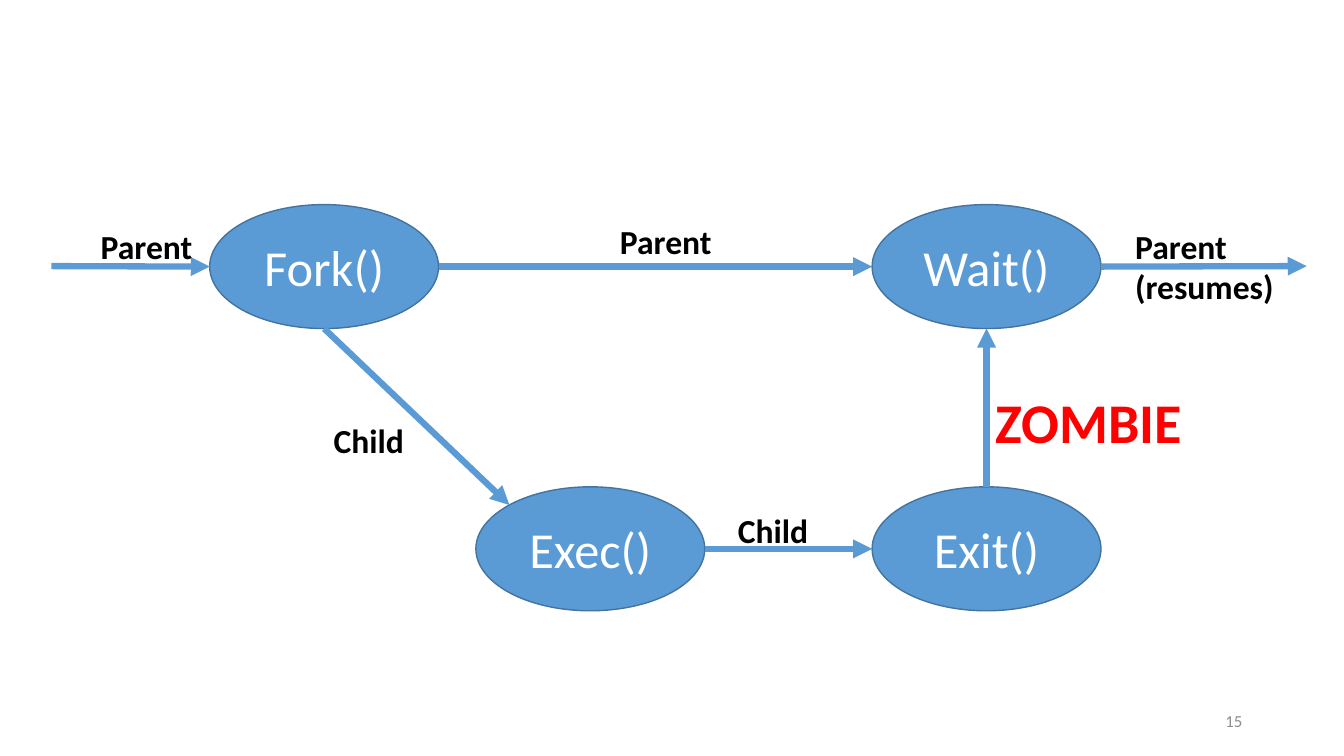
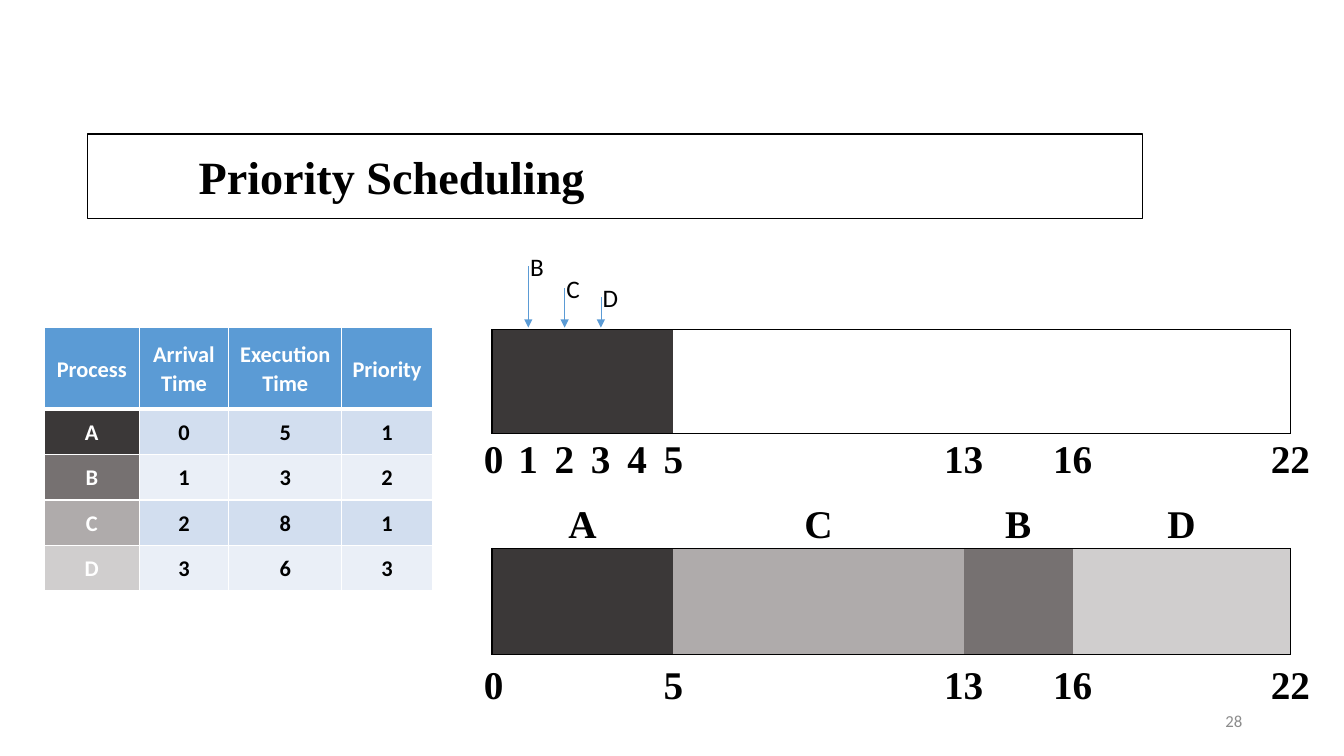
import math

import lxml.etree
import pptx
import pptx.dml.color
import pptx.enum.shapes
import pptx.enum.text
import pptx.oxml
import pptx.oxml.ns
import pptx.util

RGB = pptx.dml.color.RGBColor
SHAPE = pptx.enum.shapes.MSO_SHAPE
ALIGN = pptx.enum.text.PP_ALIGN
ANCHOR = pptx.enum.text.MSO_ANCHOR
qn = pptx.oxml.ns.qn

# Shared look
BLUE = RGB(0x5B, 0x9B, 0xD5)
DARK_BLUE = RGB(0x43, 0x73, 0x9E)
BLACK = RGB(0, 0, 0)
WHITE = RGB(0xFF, 0xFF, 0xFF)
RED = RGB(0xFF, 0, 0)
NUMBER_GRAY = RGB(0x8C, 0x8C, 0x8C)
ROW_BANDS = (RGB(0xD2, 0xDE, 0xEF), RGB(0xEA, 0xEF, 0xF7))
PROCESS_COLORS = {
    "A": RGB(0x3B, 0x38, 0x38),
    "B": RGB(0x76, 0x71, 0x71),
    "C": RGB(0xAF, 0xAB, 0xAB),
    "D": RGB(0xD0, 0xCE, 0xCE),
}
SANS, SERIF = "Calibri", "Times New Roman"
NO_TABLE_STYLE = "{2D5ABB26-0587-4C30-8999-92F81FD0307C}"

# Process diagram: sites of an ellipse run counterclockwise from the top
STATE_W, STATE_H = 227, 123
TOP, TOP_LEFT, LEFT, BOTTOM, RIGHT = 0, 1, 2, 4, 6

# Timeline grid
TIMELINE_LEFT, TIME_UNIT, TOTAL_TIME = 488, 36, 22
SCALE_LEFT, SCALE_W, INSET = 470, 854, 10


def px(length):
    """Convert a length at 100 px to the inch into EMU."""
    return pptx.util.Emu(round(length * 9144))


def tick(time):
    return TIMELINE_LEFT + time * TIME_UNIT


def format_text(frame, size, color, font=SANS, bold=False, align=ALIGN.LEFT):
    for paragraph in frame.paragraphs:
        paragraph.alignment = align
        for run in paragraph.runs:
            run.font.name = font
            run.font.size = pptx.util.Pt(size)
            run.font.bold = bold
            run.font.color.rgb = color


def add_label(slide, text, box, size, color=BLACK, **style):
    label = slide.shapes.add_textbox(*map(px, box))
    label.text_frame.word_wrap = True
    label.text_frame.text = text
    format_text(label.text_frame, size, color, **style)
    return label


def add_slide_number(slide, number):
    label = add_label(slide, str(number), (942, 695, 300, 40), 12,
                      NUMBER_GRAY, align=ALIGN.RIGHT)
    label.text_frame.vertical_anchor = ANCHOR.MIDDLE


def add_arrow(slide, start, end, width):
    arrow = slide.shapes.add_connector(
        pptx.enum.shapes.MSO_CONNECTOR.STRAIGHT, *map(px, (*start, *end)))
    arrow.line.color.rgb = BLUE
    arrow.line.width = pptx.util.Pt(width)
    line = arrow.line._get_or_add_ln()
    lxml.etree.SubElement(line, qn("a:tailEnd"), type="triangle")
    lxml.etree.SubElement(arrow._element.spPr, qn("a:effectLst"))
    return arrow


# Process diagram parts
def add_state(slide, text, left, top):
    state = slide.shapes.add_shape(
        SHAPE.OVAL, *map(px, (left, top, STATE_W, STATE_H)))
    state.shadow.inherit = False
    state.fill.solid()
    state.fill.fore_color.rgb = BLUE
    state.line.color.rgb = DARK_BLUE
    state.line.width = pptx.util.Pt(1)
    state.text_frame.vertical_anchor = ANCHOR.MIDDLE
    state.text_frame.text = text
    format_text(state.text_frame, 36, WHITE, align=ALIGN.CENTER)
    return state


def site_point(state, site):
    angle = math.radians(90 + 45 * site)
    x = state.left / px(1) + STATE_W / 2 * (1 + math.cos(angle))
    y = state.top / px(1) + STATE_H / 2 * (1 - math.sin(angle))
    return x, y


def add_transition(slide, start, end):
    """Each end is a free point or a (state, site) pair to be glued to."""
    ends = (start, end)
    glued = [not isinstance(target, (int, float)) for target, _ in ends]
    points = [site_point(*target) if held else target
              for target, held in zip(ends, glued)]
    arrow = add_arrow(slide, *points, 4.5)
    links = arrow._element.find(".//" + qn("p:cNvCxnSpPr"))
    for tag, target, held in zip(("a:stCxn", "a:endCxn"), ends, glued):
        if held:
            state, site = target
            lxml.etree.SubElement(links, qn(tag), id=str(state.shape_id),
                                  idx=str(site))


def build_process_slide(prs):
    slide = prs.slides.add_slide(prs.slide_layouts[6])
    fork = add_state(slide, "Fork()", 208, 203)
    execute = add_state(slide, "Exec()", 472, 483)
    leave = add_state(slide, "Exit()", 865, 483)
    wait = add_state(slide, "Wait()", 865, 203)

    for start, end in (
        ((51, 264), (fork, LEFT)),
        ((fork, RIGHT), (wait, LEFT)),
        ((wait, RIGHT), (1296, 264)),
        ((execute, RIGHT), (leave, LEFT)),
        ((leave, TOP), (wait, BOTTOM)),
        ((fork, BOTTOM), (execute, TOP_LEFT)),
    ):
        add_transition(slide, start, end)

    for text, left, top in (
        ("Child", 321, 412),
        ("Parent", 605, 214),
        ("Parent", 90, 219),
        ("Child", 722, 501),
    ):
        add_label(slide, text, (left, top, 112, 50), 24, bold=True)
    add_label(slide, "Parent\n(resumes)", (1116, 219, 169, 91), 24, bold=True)
    add_label(slide, "ZOMBIE", (978, 380, 238, 77), 40, RED, bold=True)
    add_slide_number(slide, 15)


# Scheduling parts
def add_banner_title(slide, text):
    title = slide.shapes.title
    title.left, title.top, title.width, title.height = map(
        px, (87, 133, 1046, 84))
    outline = lxml.etree.SubElement(
        title._element.spPr, qn("a:prstGeom"), prst="homePlate")
    lxml.etree.SubElement(outline, qn("a:avLst"))
    title.fill.solid()
    title.fill.fore_color.rgb = WHITE
    title.line.color.rgb = BLACK
    title.line.width = pptx.util.Pt(1)
    frame = title.text_frame
    frame.auto_size = pptx.enum.text.MSO_AUTO_SIZE.NONE
    frame.vertical_anchor = ANCHOR.MIDDLE
    frame.margin_left = px(110)
    frame.text = text
    format_text(frame, 33, BLACK, SERIF, bold=True)


def add_plain_table(slide, left, top, widths, heights):
    frame = slide.shapes.add_table(
        len(heights), len(widths),
        *map(px, (left, top, sum(widths), sum(heights))))
    table = frame.table
    table.horz_banding = False
    table._tbl.tblPr.find(qn("a:tableStyleId")).text = NO_TABLE_STYLE
    for column, width in zip(table.columns, widths):
        column.width = px(width)
    for row, height in zip(table.rows, heights):
        row.height = px(height)
    return table


def set_borders(cell, color, widths):
    """Widths in points by side: L, R, T, B."""
    properties = cell._tc.get_or_add_tcPr()
    sides = [side for side in "LRTB" if side in widths]
    for position, side in enumerate(sides):
        properties.insert(position, pptx.oxml.parse_xml(
            f'<a:ln{side} {pptx.oxml.ns.nsdecls("a")} '
            f'w="{pptx.util.Pt(widths[side])}"><a:solidFill>'
            f'<a:srgbClr val="{color}"/></a:solidFill></a:ln{side}>'))


def fill_cell(cell, color):
    cell.fill.solid()
    cell.fill.fore_color.rgb = color


def add_process_table(slide, rows):
    table = add_plain_table(slide, 44, 325, (94, 89, 112, 90),
                            (81, 45, 45, 45, 45))
    for r, row in enumerate(rows):
        for c, text in enumerate(row):
            cell = table.cell(r, c)
            if r == 0:
                fill, color = BLUE, WHITE
            elif c == 0:
                fill, color = PROCESS_COLORS[text], WHITE
            else:
                fill, color = ROW_BANDS[(r - 1) % 2], BLACK
            fill_cell(cell, fill)
            set_borders(cell, WHITE, {"L": 1, "R": 1,
                                      "T": 3 if r == 1 else 1,
                                      "B": 3 if r == 0 else 1})
            cell.vertical_anchor = ANCHOR.MIDDLE
            cell.margin_left = cell.margin_right = px(7)
            cell.margin_top = cell.margin_bottom = 0
            cell.text_frame.text = text
            format_text(cell.text_frame, 16, color, bold=True,
                        align=ALIGN.CENTER)
            cell.text_frame.paragraphs[0].line_spacing = 1.07


def add_timeline(slide, top, height, spans):
    """Draw one cell per time unit, coloured by the running process."""
    table = add_plain_table(slide, TIMELINE_LEFT, top,
                            [TIME_UNIT] * TOTAL_TIME, [height])
    for time in range(TOTAL_TIME):
        cell = table.cell(0, time)
        for process, start, end in spans:
            if start <= time < end:
                fill_cell(cell, PROCESS_COLORS[process])
        borders = {"T": 1, "B": 1}
        if time == 0:
            borders["L"] = 1
        if time == TOTAL_TIME - 1:
            borders["R"] = 1
        set_borders(cell, BLACK, borders)


def add_time_labels(slide, top, labels):
    """Write (text, time) pairs on one line, centred on their times."""
    text = "".join(f"\t{label}" for label, _ in labels)
    line = add_label(slide, text, (SCALE_LEFT, top, SCALE_W, 57), 28,
                     font=SERIF, bold=True)
    properties = line.text_frame.paragraphs[0]._p.get_or_add_pPr()
    stops = lxml.etree.SubElement(properties, qn("a:tabLst"))
    for _, time in labels:
        position = px(tick(time) - SCALE_LEFT - INSET)
        lxml.etree.SubElement(stops, qn("a:tab"), pos=str(position),
                              algn="ctr")


def build_scheduling_slide(prs):
    slide = prs.slides.add_slide(prs.slide_layouts[5])
    add_banner_title(slide, "Priority Scheduling")
    add_process_table(slide, (
        ("Process", "Arrival Time", "Execution Time", "Priority"),
        ("A", "0", "5", "1"),
        ("B", "1", "3", "2"),
        ("C", "2", "8", "1"),
        ("D", "3", "6", "3"),
    ))

    # Arrivals while the first process runs
    schedule = (("A", 0, 5), ("C", 5, 13), ("B", 13, 16), ("D", 16, 22))
    add_timeline(slide, 327, 103, schedule[:1])
    for process, time, top in (("B", 1, 244), ("C", 2, 266), ("D", 3, 275)):
        add_arrow(slide, (tick(time), top + 20), (tick(time), 325), 0.5)
        add_label(slide, process, (tick(time) - 8, top, 36, 40), 18)
    add_time_labels(slide, 426, [(str(time), time)
                                 for time in (0, 1, 2, 3, 4, 5, 13, 16, 22)])

    # Complete schedule
    add_timeline(slide, 544, 105, schedule)
    add_time_labels(slide, 490, [(process, (start + end) / 2)
                                 for process, start, end in schedule])
    add_time_labels(slide, 650, [(str(time), time)
                                 for time in (0, 5, 13, 16, 22)])
    add_slide_number(slide, 28)


def main():
    prs = pptx.Presentation()
    prs.slide_width, prs.slide_height = px(1333), px(750)
    build_process_slide(prs)
    build_scheduling_slide(prs)
    prs.save("out.pptx")


if __name__ == "__main__":
    main()
